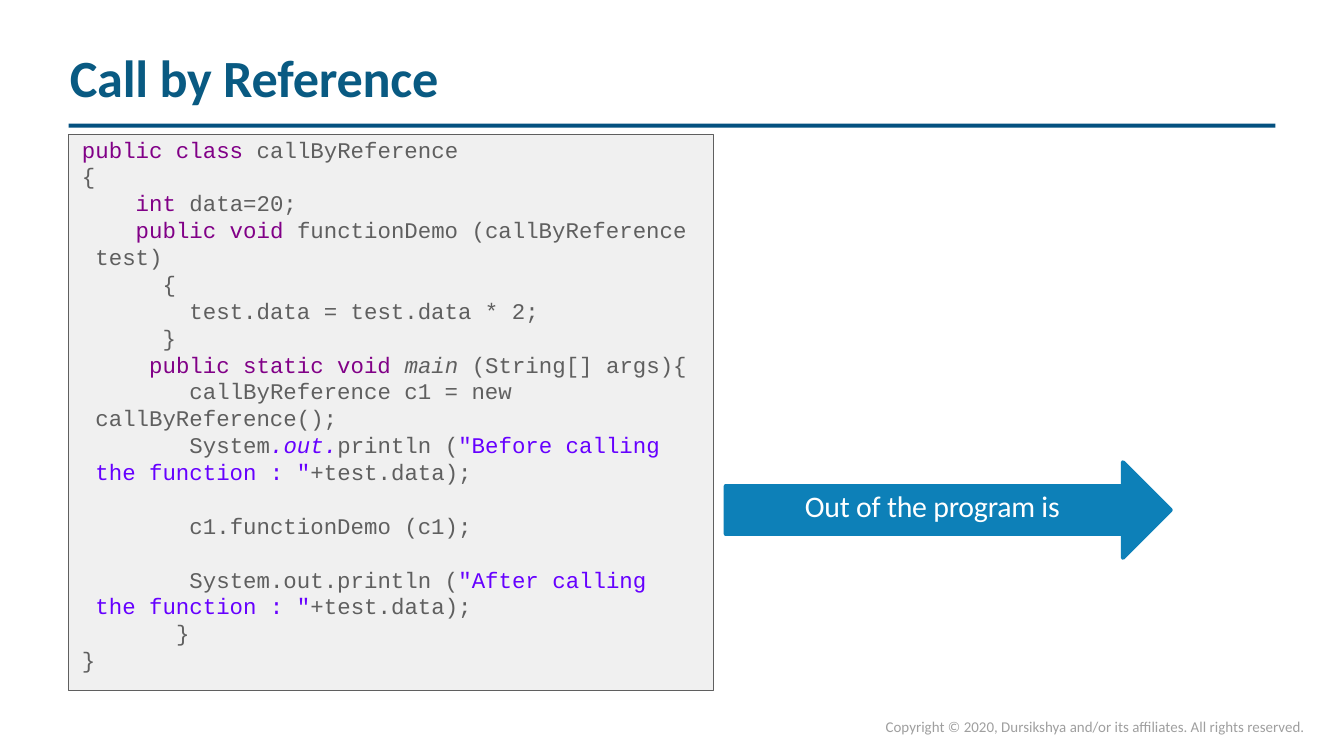
from pptx import Presentation
from pptx import util as u
from pptx.dml.color import RGBColor
from pptx.enum import shapes, text

BLUE, RULE, ARROW = "095A82", "045180", "0D80B8"
GREY, KEYWORD, STRING = "5F5F5F", "810087", "6600FF"
CHAR, WRAP = 0.1, 0.11

DECLARATIONS = [
    (0, [("public class ", KEYWORD), ("callByReference", GREY)]),
    (0, [("{", GREY)]),
    (4, [("int ", KEYWORD), ("data=20;", GREY)]),
    (4, [("public void ", KEYWORD), ("functionDemo (callByReference test)", GREY)]),
    (6, [("{", GREY)]),
    (8, [("test.data = test.data * 2;", GREY)]),
    (6, [("}", GREY)]),
    (5, [("public static void ", KEYWORD), ("main ", GREY, True),
         ("(String[] args){", GREY)]),
    (8, [("callByReference c1 = new callByReference();", GREY)]),
    (8, [("System", GREY), (".out.", STRING, True), ("println (", GREY),
         ("\"Before calling the function : \"", STRING), ("+test.data);", GREY)]),
]
CALL = [(8, [("c1.functionDemo (c1);", GREY)])]
ENDING = [
    (8, [("System.out.println (", GREY),
         ("\"After calling the function : \"", STRING), ("+test.data);", GREY)]),
    (7, [("}", GREY)]),
    (0, [("}", GREY)]),
]


def rgb(value):
    return RGBColor.from_string(value)


def place(sp, x, y, w, h):
    sp.left, sp.top, sp.width, sp.height = map(u.Inches, (x, y, w, h))


def add_box(s, kind, x, y, w, h, fill, line=None, weight=0.72):
    sp = s.shapes.add_shape(kind, *map(u.Inches, (x, y, w, h)))
    sp.shadow.inherit = False
    sp.fill.solid()
    sp.fill.fore_color.rgb = rgb(fill)
    if line:
        sp.line.color.rgb = rgb(line)
        sp.line.width = u.Pt(weight)
    else:
        sp.line.fill.background()
    return sp


def set_frame(sp, top=0.01, left=0):
    tf = sp.text_frame
    tf.word_wrap = True
    tf.auto_size = text.MSO_AUTO_SIZE.NONE
    tf.vertical_anchor = text.MSO_ANCHOR.TOP
    tf.margin_right = tf.margin_bottom = 0
    tf.margin_left, tf.margin_top = u.Inches(left), u.Inches(top)
    return tf


def add_run(p, words, font, size, color, bold=False, italic=False, spacing=0):
    r = p.add_run()
    r.text = words
    r.font.name, r.font.size = font, u.Pt(size)
    r.font.bold, r.font.italic = bold, italic
    r.font.color.rgb = rgb(color)
    if spacing:
        r._r.get_or_add_rPr().set("spc", str(spacing))


def add_label(s, words, x, y, w, h, size, color, top=0.01, spacing=0):
    sp = s.shapes.add_textbox(*map(u.Inches, (x, y, w, h)))
    p = set_frame(sp, top, 0.01).paragraphs[0]
    p.alignment = text.PP_ALIGN.LEFT
    add_run(p, words, "Calibri", size, color, spacing=spacing)
    return p


def add_heading(s, words, x, y, w):
    sp = s.shapes.title
    place(sp, x, y, 2.9, 0.49)
    p = set_frame(sp, left=0.01).paragraphs[0]
    p.alignment = text.PP_ALIGN.LEFT
    add_run(p, words, "Calibri", 28, BLUE, bold=True, spacing=-10)
    add_box(s, shapes.MSO_SHAPE.RECTANGLE, x, y + 0.59, w, 0.03, RULE)


def add_code(s, lines, x, y, w, h):
    sp = s.shapes.add_textbox(*map(u.Inches, (x, y, w, h)))
    tf = set_frame(sp)
    for i, (indent, runs) in enumerate(lines):
        p = tf.paragraphs[0] if i == 0 else tf.add_paragraph()
        p.line_spacing = u.Pt(14.4)
        pPr = p._p.get_or_add_pPr()
        pPr.set("marL", str(u.Inches(WRAP)))
        pPr.set("indent", str(u.Inches(0.01 + indent * CHAR - WRAP)))
        for words, color, *italic in runs:
            add_run(p, words, "Courier New", 12, color, italic=bool(italic))


def add_listing(s, x, y, w, h):
    add_box(s, shapes.MSO_SHAPE.RECTANGLE, x, y, w, h, "F0F0F0", GREY)
    for lines, top, height in ((DECLARATIONS, 0, 2.63), (CALL, 2.8, 0.23),
                               (ENDING, 3.2, 0.83)):
        add_code(s, lines, x + 0.09, y + top, w - 0.25, height)


def add_arrow(s, words, x, y, w, h):
    add_box(s, shapes.MSO_SHAPE.RIGHT_ARROW, x, y, w, h, ARROW, ARROW, 2.28)
    add_label(s, words, x + 0.58, y + 0.18, 2, 0.29, 16, "FFFFFF", spacing=-10)


def add_footer(s, words, x, y, w, h):
    p = add_label(s, words, x, y, w, h, 8, "9F9F9F", top=0)
    p.line_spacing = u.Pt(8.7)


def main():
    prs = Presentation()
    prs.slide_width = u.Inches(10)
    prs.slide_height = prs.slide_width * 9 // 16
    s = prs.slides.add_slide(prs.slide_layouts[5])
    add_heading(s, "Call by Reference", 0.51, 0.33, 8.98)
    add_listing(s, 0.51, 1, 4.8, 4.14)
    add_arrow(s, "Out of the program is", 5.4, 3.44, 3.31, 0.71)
    add_footer(s, "Copyright © 2020, Dursikshya and/or its affiliates. "
               "All rights reserved.", 6.58, 5.35, 3.21, 0.14)
    prs.save("out.pptx")


if __name__ == "__main__":
    main()
